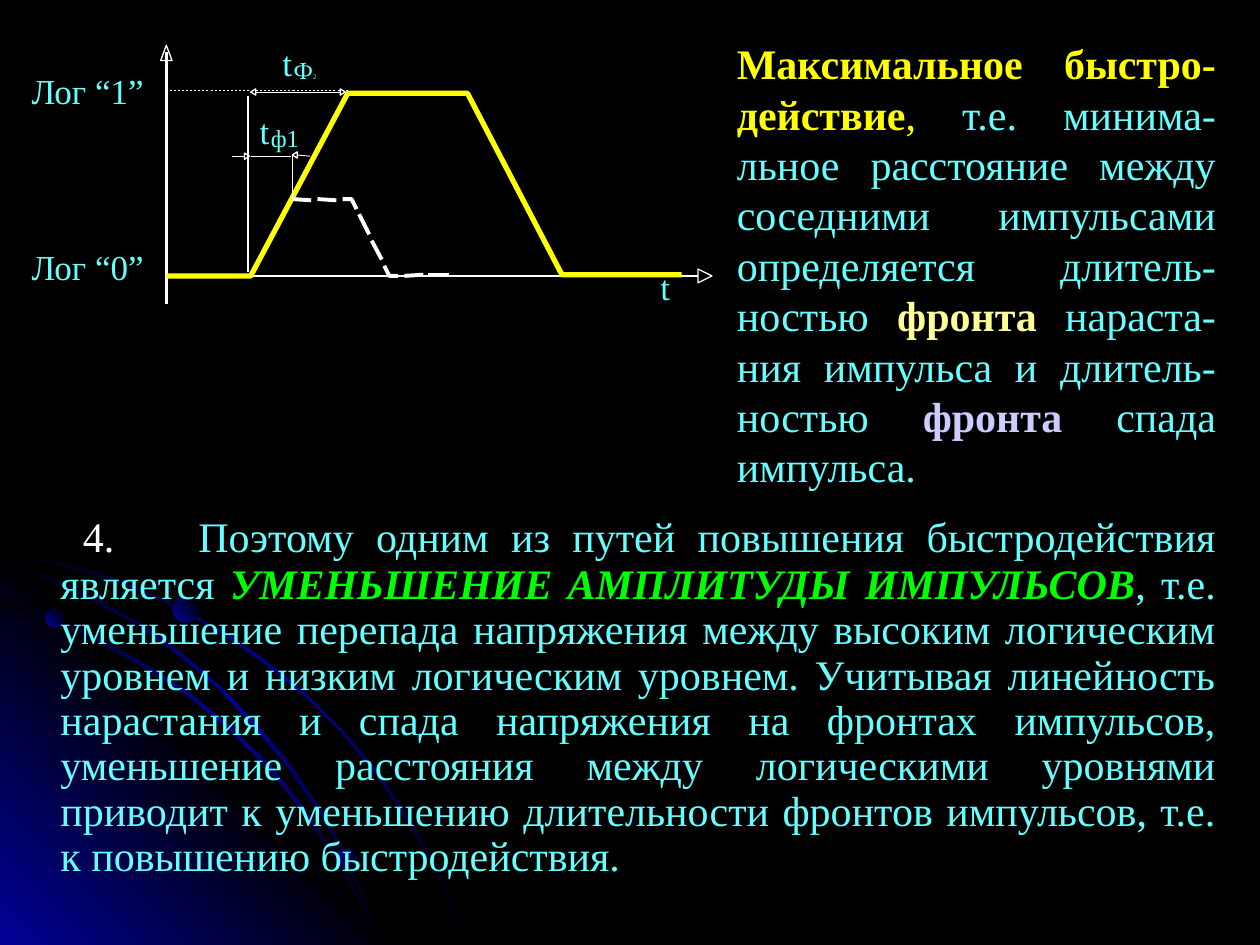
from collections import namedtuple

from lxml import etree
from pptx import Presentation
from pptx.dml.color import RGBColor
from pptx.enum.shapes import MSO_CONNECTOR, MSO_SHAPE
from pptx.enum.text import MSO_ANCHOR, MSO_AUTO_SIZE, PP_ALIGN
from pptx.oxml.ns import qn
from pptx.util import Inches, Pt

STRAIGHT = MSO_CONNECTOR.STRAIGHT
OVAL = MSO_SHAPE.OVAL
TOP = MSO_ANCHOR.TOP
NO_FIT = MSO_AUTO_SIZE.NONE
LEFT, JUSTIFY = PP_ALIGN.LEFT, PP_ALIGN.JUSTIFY

FONT = "Times New Roman"
BLACK, WHITE, BLUE = "000000", "FFFFFF", "010199"
CYAN, YELLOW, GREEN = "66FFFF", "FFFF00", "00FF00"
CREAM, LILAC = "FFFF99", "CCCCFF"
HAIRLINE = 0.5

Box = namedtuple("Box", "left top width height")


def color(value):
    return RGBColor.from_string(value)


def fill_gradient(shape, stops, angle):
    """Fill with evenly spaced colour stops along a linear gradient."""
    shape.fill.gradient()
    gradient = shape._element.spPr.find(qn("a:gradFill"))
    stop_list = gradient.find(qn("a:gsLst"))
    for old_stop in list(stop_list):
        stop_list.remove(old_stop)
    for index, value in enumerate(stops):
        position = str(index * 100000 // (len(stops) - 1))
        stop = etree.SubElement(stop_list, qn("a:gs"), pos=position)
        etree.SubElement(stop, qn("a:srgbClr"), val=value)
    gradient.find(qn("a:lin")).set("ang", str(angle * 60000))


def add_outline(slide, box, points, closed=False, fill=None, line=None, width=0.75):
    places = [(Inches(box.left + x), Inches(box.top + y)) for x, y in points]
    builder = slide.shapes.build_freeform(*places[0])
    builder.add_line_segments(places[1:], close=closed)
    shape = builder.convert_to_shape()
    shape.shadow.inherit = False
    if fill:
        shape.fill.solid()
        shape.fill.fore_color.rgb = color(fill)
    else:
        shape.fill.background()
    if line:
        shape.line.color.rgb = color(line)
        shape.line.width = Pt(width)
    else:
        shape.line.fill.background()
    return shape


def add_line(slide, box, start, end, width=HAIRLINE):
    line = slide.shapes.add_connector(
        STRAIGHT, Inches(box.left + start[0]), Inches(box.top + start[1]),
        Inches(box.left + end[0]), Inches(box.top + end[1]))
    line.line.color.rgb = color(WHITE)
    line.line.width = Pt(width)
    etree.SubElement(line._element.spPr, qn("a:effectLst"))


def add_head(slide, box, tip, direction, length, half):
    """Hollow arrowhead whose tip points along the unit direction."""
    (x, y), (dx, dy) = tip, direction
    base_x, base_y = x - dx * length, y - dy * length
    points = [tip, (base_x - dy * half, base_y + dx * half),
              (base_x + dy * half, base_y - dx * half)]
    add_outline(slide, box, points, closed=True, fill=BLACK, line=WHITE)


def add_span(para, text, size=24, tint=CYAN, bold=False, italic=False):
    span = para.add_run()
    span.text = text
    font = span.font
    font.name, font.size, font.bold, font.italic = FONT, Pt(size), bold, italic
    font.color.rgb = color(tint)


def add_text(slide, box, spans, align=LEFT, inset=(0, 0)):
    shape = slide.shapes.add_textbox(*(Inches(side) for side in box))
    frame = shape.text_frame
    frame.word_wrap = True
    frame.margin_left = frame.margin_right = Inches(inset[0])
    frame.margin_top = frame.margin_bottom = Inches(inset[1])
    para = frame.paragraphs[0]
    para.alignment = align
    for text, style in spans:
        add_span(para, text, **style)


def add_background(slide, box):
    """Blue corner with three orbits and their planets."""
    orbits = [
        [(0.57, 0.22), (0.28, 0.16), (0, 0.1), (0, 0.13), (0.28, 0.18), (0.56, 0.24),
         (0.97, 0.36), (1.35, 0.53), (1.73, 0.74), (2.08, 0.98), (2.41, 1.24),
         (2.71, 1.54), (2.98, 1.87), (3.23, 2.24), (3.37, 2.48), (3.5, 2.73),
         (3.6, 2.98), (3.7, 3.23), (3.72, 3.23), (3.62, 2.98), (3.52, 2.73),
         (3.39, 2.48), (3.25, 2.23), (3, 1.86), (2.72, 1.53), (2.42, 1.23),
         (2.09, 0.96), (1.74, 0.72), (1.36, 0.52), (0.98, 0.34)],
        [(2.85, 2.89), (2.94, 3.07), (3.01, 3.23), (3.03, 3.23), (2.96, 3.05),
         (2.86, 2.87), (2.66, 2.51), (2.42, 2.15), (2.15, 1.81), (1.84, 1.51),
         (1.52, 1.24), (1.17, 1.01), (0.79, 0.8), (0.41, 0.63), (0, 0.5),
         (0, 0.52), (0.39, 0.65), (0.77, 0.82), (1.15, 1.03), (1.5, 1.26),
         (1.83, 1.53), (2.13, 1.83), (2.4, 2.17), (2.65, 2.52)],
        [(0, 0.17), (0, 0.19), (0.36, 0.32), (0.74, 0.5), (1.09, 0.69), (1.42, 0.93),
         (1.73, 1.19), (2.02, 1.5), (2.27, 1.8), (2.52, 2.16), (2.67, 2.42),
         (2.8, 2.69), (2.92, 2.97), (3.01, 3.23), (3.03, 3.23), (2.94, 2.95),
         (2.82, 2.68), (2.69, 2.4), (2.54, 2.14), (2.29, 1.78), (2.04, 1.48),
         (1.75, 1.18), (1.44, 0.91), (1.11, 0.68), (0.76, 0.48), (0.39, 0.3)],
    ]
    corner = [(3.22, 3.23), (0, 3.23), (0, 0)]
    glow, shade = ([BLACK, BLUE, BLACK], 225), ([BLUE, BLACK, BLUE], 135)
    layers = [(orbits[0], glow), (corner, shade), (orbits[1], glow), (orbits[2], glow)]
    for points, (stops, angle) in layers:
        shape = add_outline(slide, box, points, closed=True)
        fill_gradient(shape, stops, angle)
    planets = [(0.36, 0.56, 0.15, 135), (2.67, 2.47, 0.16, 225), (1.37, 0.46, 0.21, 135)]
    for x, y, size, angle in planets:
        planet = slide.shapes.add_shape(OVAL, Inches(box.left + x), Inches(box.top + y),
                                        Inches(size), Inches(size))
        planet.shadow.inherit = False
        planet.line.fill.background()
        fill_gradient(planet, [BLACK, BLUE], angle)


def add_pulse_diagram(slide, box):
    """Full and reduced pulses with their rise times."""
    right, left, up = (1, 0), (-1, 0), (0, -1)
    # Axes
    add_head(slide, box, (1.07, 0.06), up, 0.12, 0.045)
    add_line(slide, box, (1.07, 0.11), (1.07, 2.11), 1.5)
    add_line(slide, box, (1.06, 1.89), (5.35, 1.89), 1.5)
    add_head(slide, box, (5.4, 1.89), right, 0.11, 0.055)
    # Full pulse
    add_outline(slide, box, [(1.07, 1.89), (1.74, 1.89), (2.51, 0.44), (3.46, 0.44),
                             (4.21, 1.88), (5.16, 1.88)], line=YELLOW, width=3)
    # Reduced pulse, dash by dash
    dashes = [
        [(2.07, 1.28), (2.22, 1.29)], [(2.27, 1.28), (2.42, 1.29)],
        [(2.47, 1.28), (2.54, 1.28), (2.58, 1.36)], [(2.6, 1.4), (2.68, 1.56)],
        [(2.7, 1.61), (2.78, 1.76)], [(2.8, 1.81), (2.84, 1.89), (2.91, 1.89)],
        [(2.96, 1.89), (3.11, 1.88)], [(3.15, 1.88), (3.31, 1.88)],
    ]
    for dash in dashes:
        if len(dash) == 2:
            add_line(slide, box, *dash, width=2.25)
        else:
            add_outline(slide, box, dash, line=WHITE, width=2.25)
    # Dotted level of logical one
    dot_count, first, last = 45, 2.51, 1.08
    step = (first - last) / (dot_count - 1)
    for index in range(dot_count):
        x = first - index * step
        add_line(slide, box, (x, 0.42), (x - step / 2, 0.42))
    # Dimension lines
    for tip, direction in [((2.49, 0.43), right), ((1.74, 0.43), left),
                           ((2.07, 0.93), left), ((1.73, 0.94), right)]:
        add_head(slide, box, tip, direction, 0.04, 0.025)
    for start, end in [((2.46, 0.43), (1.78, 0.43)), ((2.11, 0.93), (2.21, 0.94)),
                       ((1.69, 0.94), (1.59, 0.94)), ((2.07, 1.29), (2.07, 0.93)),
                       ((1.74, 0.94), (2.06, 0.94))]:
        add_line(slide, box, start, end)
    add_line(slide, box, (1.72, 1.86), (1.72, 0.46), 1)
    # Labels
    for x, y, width, height, spans in [
            (0, 0.25, 0.92, 0.33, [("Лог “1”", 20)]),
            (0, 1.65, 0.92, 0.33, [("Лог “0”", 20)]),
            (1.81, 0.57, 0.09, 0.33, [("t", 20)]),
            (1.9, 0.68, 0.26, 0.23, [("ф1", 14)]),
            (1.99, 0.03, 0.09, 0.33, [("t", 20)]),
            (2.08, 0.14, 0.24, 0.23, [("Ф", 14), ("2", 4)]),
            (4.99, 1.81, 0.09, 0.33, [("t", 20)])]:
        add_text(slide, Box(box.left + x, box.top + y, width, height),
                 [(text, {"size": size}) for text, size in spans])


def add_definition(slide, box):
    add_text(slide, box, [
        ("Максимальное быстро-действие", {"tint": YELLOW, "bold": True}),
        (",", {"tint": YELLOW}),
        (" т.е. минима-льное расстояние между соседними импульсами определяется "
         "длитель-ностью ", {}),
        ("фронта", {"tint": CREAM, "bold": True}),
        (" нараста-ния импульса и длитель-ностью ", {}),
        ("фронта", {"tint": LILAC, "bold": True}),
        (" спада импульса.", {}),
    ], align=JUSTIFY, inset=(0.1, 0.05))


def add_conclusion(slide, box):
    body = slide.placeholders[1]
    body.left, body.top, body.width, body.height = (Inches(side) for side in box)
    frame = body.text_frame
    frame.word_wrap, frame.auto_size, frame.vertical_anchor = True, NO_FIT, TOP
    para = frame.paragraphs[0]
    para.alignment, para.line_spacing, para.space_before = JUSTIFY, 0.9, Pt(0)
    props = para._p.get_or_add_pPr()
    props.set("marL", str(Inches(0.38)))
    props.set("indent", str(-Inches(0.38)))
    etree.SubElement(props, qn("a:buNone"))
    add_span(para, "\t ")
    add_span(para, "4.", tint=WHITE)
    add_span(para, "\t\t", size=28)  # two default stops of half an inch
    add_span(para, "Поэтому одним из путей повышения быстродействия является ")
    add_span(para, "УМЕНЬШЕНИЕ АМПЛИТУДЫ ИМПУЛЬСОВ", tint=GREEN, bold=True, italic=True)
    add_span(para, ", т.е. уменьшение перепада напряжения между высоким логическим уровнем "
             "и низким логическим уровнем. Учитывая линейность нарастания и спада "
             "напряжения на фронтах импульсов, уменьшение расстояния между логическими "
             "уровнями приводит к уменьшению длительности фронтов импульсов, т.е. "
             "к повышению быстродействия.")


def main():
    deck = Presentation()
    deck.slide_width, deck.slide_height = Inches(10), Inches(7.5)
    slide = deck.slides.add_slide(deck.slide_layouts[1])
    title = slide.shapes.title._element
    title.getparent().remove(title)
    slide.background.fill.solid()
    slide.background.fill.fore_color.rgb = color(BLACK)
    add_background(slide, Box(0, 4.27, 3.72, 3.23))
    # Keep the body text in front of the background
    body = slide.placeholders[1]._element
    body.getparent().append(body)
    add_conclusion(slide, Box(0, 4, 9.75, 3.17))
    add_pulse_diagram(slide, Box(0.25, 0.3, 5.4, 2.2))
    add_definition(slide, Box(5.75, 0.25, 4, 3.7))
    deck.save("out.pptx")


if __name__ == "__main__":
    main()
